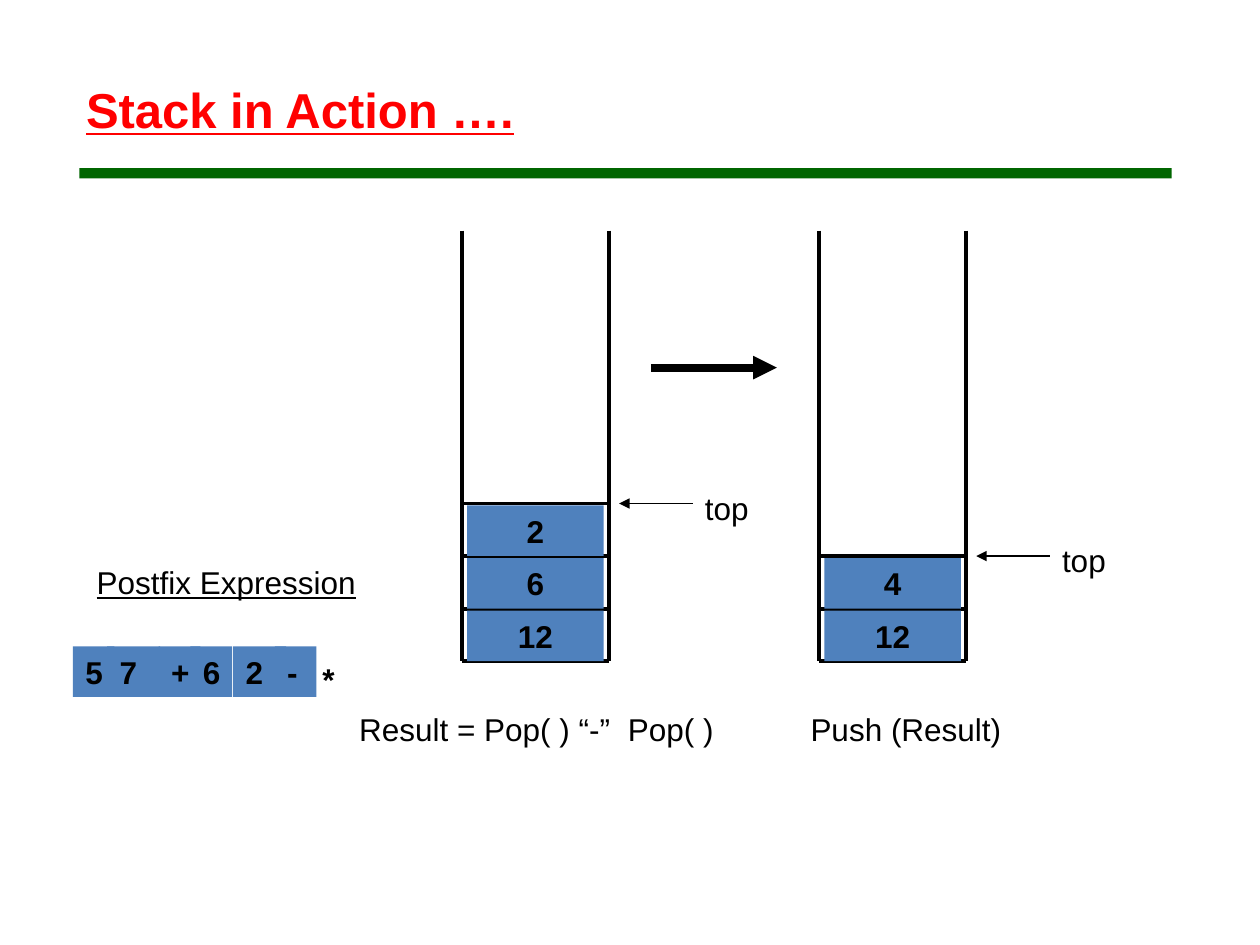
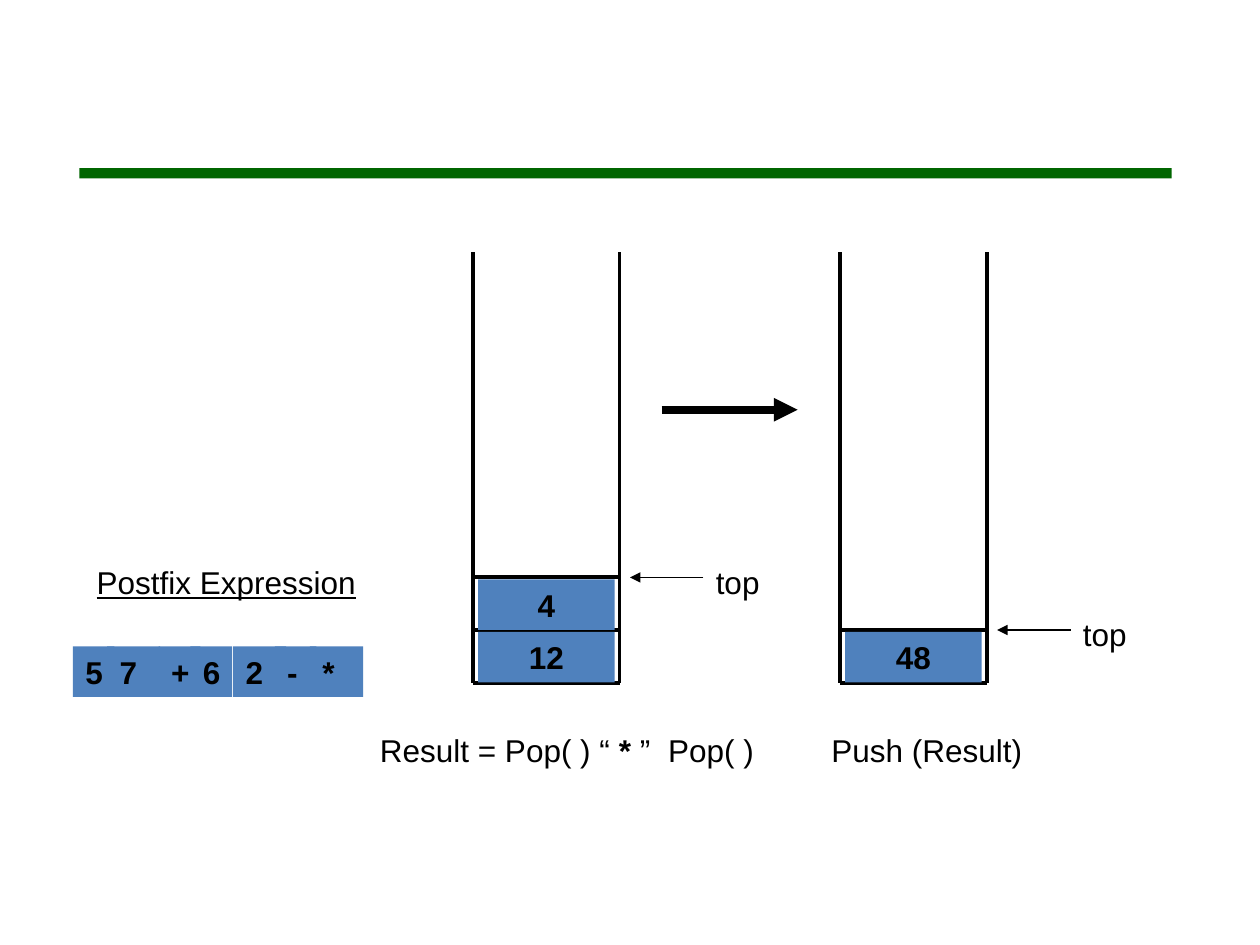
from dataclasses import dataclass

from lxml.etree import SubElement
from pptx import Presentation
from pptx.dml.color import RGBColor
from pptx.enum.shapes import MSO_CONNECTOR, MSO_SHAPE
from pptx.enum.text import MSO_ANCHOR, MSO_AUTO_SIZE, PP_ALIGN
from pptx.oxml.ns import qn
from pptx.util import Cm, Pt


@dataclass(frozen=True)
class Theme:
    font: str = "Arial"
    head: int = 28
    body: int = 18
    ink: RGBColor = RGBColor(0, 0, 0)
    red: RGBColor = RGBColor(0xFF, 0, 0)
    green: RGBColor = RGBColor(0, 0x66, 0)
    blue: RGBColor = RGBColor(0x4F, 0x81, 0xBD)
    wall: float = 2.25
    thin: float = 0.75
    thick: float = 4.5


theme = Theme()


def write(shape, runs, size=theme.body, color=theme.ink, align=PP_ALIGN.LEFT,
          fill=None, tab=None):
    """Fill a shape with runs of (text, marks); marks are b and u."""
    if fill is not None:
        shape.shadow.inherit = False
        shape.fill.solid()
        shape.fill.fore_color.rgb = fill
        shape.line.fill.background()
    frame = shape.text_frame
    frame.word_wrap = True
    frame.auto_size = MSO_AUTO_SIZE.NONE
    frame.vertical_anchor = MSO_ANCHOR.TOP
    para = frame.paragraphs[0]
    para.alignment = align
    if tab:
        stops = SubElement(para._p.get_or_add_pPr(), qn("a:tabLst"))
        SubElement(stops, qn("a:tab"), pos=str(int(Cm(tab))), algn="l")
    for text, marks in runs:
        run = para.add_run()
        run.text = text
        run.font.name = theme.font
        run.font.size = Pt(size)
        run.font.color.rgb = color
        run.font.bold = "b" in marks
        run.font.underline = "u" in marks


def draw(page, x1, y1, x2, y2, width, arrow=False):
    """Draw a straight black line, with an arrowhead at its end if asked."""
    line = page.shapes.add_connector(
        MSO_CONNECTOR.STRAIGHT, Cm(x1), Cm(y1), Cm(x2), Cm(y2))
    line.line.color.rgb = theme.ink
    line.line.width = Pt(width)
    if arrow:
        SubElement(line.line._get_or_add_ln(), qn("a:tailEnd"), type="triangle")
    SubElement(line._element.spPr, qn("a:effectLst"))


# Sizes in centimetres
well, depth, step = 2.96, 8.68, 1.06
gap, row = 0.85, 1.02
narrow, wide = 0.84, 1.07
tokens = [("5", 1.47, narrow), ("7", 2.16, wide), ("+", 3.2, narrow),
          ("6", 3.84, narrow), ("2", 4.7, wide), ("-", 5.54, narrow),
          ("*", 6.25, wide)]

# What differs from step to step; stacks list their items from the bottom up
steps = [
    dict(title="Stack in Action ….", used=6, floor=13.33, flow=7.41,
         stacks=[(9.31, ["12", "6", "2"]), (16.51, ["12", "4"])],
         note=6.99, tab=5.42,
         result=[("Result = Pop( ) “-”\tPop( )", "")]),
    dict(title=None, used=7, floor=13.76, flow=8.26,
         stacks=[(9.53, ["12", "4"]), (16.93, ["48"])],
         note=7.41, tab=5.81,
         result=[("Result = Pop( ) “ ", ""), ("*", "b"), (" ”\tPop( )", "")]),
]

deck = Presentation()
deck.slide_width, deck.slide_height = Cm(25.4), Cm(19.05)

for stage in steps:
    # Page, band and title
    page = deck.slides.add_slide(deck.slide_layouts[5 if stage["title"] else 6])
    band = page.shapes.add_shape(
        MSO_SHAPE.RECTANGLE, Cm(1.6), Cm(3.39), Cm(22.02), Cm(0.21))
    band.shadow.inherit = False
    band.fill.solid()
    band.fill.fore_color.rgb = theme.green
    band.line.fill.background()
    if stage["title"]:
        title = page.shapes.title
        title.left, title.top = Cm(1.48), Cm(1.48)
        title.width, title.height = Cm(16.72), Cm(1.45)
        write(title, [(stage["title"], "bu")], theme.head, theme.red)

    # Stacks
    floor = stage["floor"]
    for left, items in stage["stacks"]:
        right = left + well
        for side in (left, right):
            draw(page, side, floor - depth, side, floor, theme.wall)
        draw(page, left, floor, right, floor, theme.wall)
        for place, item in enumerate(items, 1):
            level = floor - place * step
            draw(page, left, level, right, level, theme.wall)
            cell = page.shapes.add_shape(
                MSO_SHAPE.RECTANGLE, Cm(left + 0.11), Cm(level + 0.04),
                Cm(2.75), Cm(row))
            write(cell, [(item, "b")], align=PP_ALIGN.CENTER, fill=theme.blue)

        # Pointer to the top item
        top = floor - len(items) * step
        draw(page, right + 1.69, top, right + 0.21, top, theme.thin, True)
        label = page.shapes.add_textbox(
            Cm(right + 1.69), Cm(top - 0.42), Cm(3.81), Cm(row))
        write(label, [("top", "")])

    # Arrow between the stacks
    first, last = [left for left, items in stage["stacks"]]
    draw(page, first + well + gap, stage["flow"], last - gap, stage["flow"],
         theme.thick, True)

    # Postfix expression, with the tokens read so far filled
    label = page.shapes.add_textbox(Cm(1.7), Cm(11.22), Cm(6.99), Cm(row))
    write(label, [("Postfix Expression", "u")])
    for place, (sign, left, width) in enumerate(tokens):
        if place < stage["used"]:
            token = page.shapes.add_shape(
                MSO_SHAPE.RECTANGLE, Cm(left), Cm(13.03), Cm(width), Cm(row))
            write(token, [(sign, "b")], fill=theme.blue)
        else:
            token = page.shapes.add_textbox(
                Cm(left), Cm(13.19), Cm(width), Cm(row))
            write(token, [(sign, "b")])

    # Captions
    note = page.shapes.add_textbox(
        Cm(stage["note"]), Cm(floor + gap), Cm(8.47), Cm(row))
    write(note, stage["result"], tab=stage["tab"])
    push = page.shapes.add_textbox(
        Cm(last - 0.42), Cm(floor + gap), Cm(6.99), Cm(row))
    write(push, [("Push (Result)", "")])

deck.save("out.pptx")
